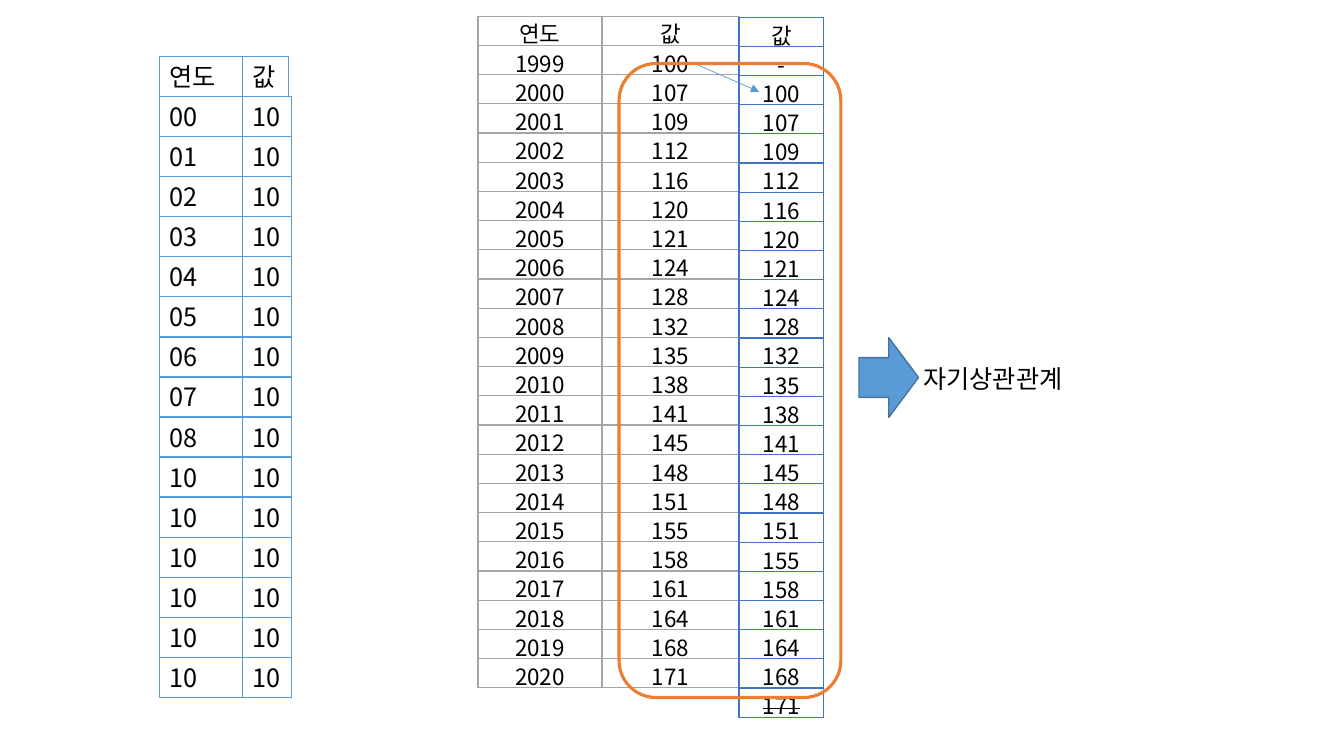
from typing import NamedTuple

from lxml.etree import SubElement
from pptx import Presentation
from pptx.dml.color import RGBColor
from pptx.enum.shapes import MSO_CONNECTOR, MSO_SHAPE
from pptx.enum.text import MSO_ANCHOR, MSO_AUTO_SIZE, PP_ALIGN
from pptx.oxml import parse_xml
from pptx.oxml.ns import nsdecls, qn
from pptx.util import Inches, Pt

FONT = "Noto Sans CJK KR"
COLORS = {
    "text": "000000",
    "blue": "5B9BD5",
    "arrow_edge": "43739E",
    "grid_gray": "A5A5A5",
    "grid_blue": "4472C4",
    "frame": "ED7D31",
}
YEAR_HEADER, VALUE_HEADER = "연도", "값"
SERIES = [100, 107, 109, 112, 116, 120, 121, 124, 128, 132, 135,
          138, 141, 145, 148, 151, 155, 158, 161, 164, 168, 171]
SHORT_YEARS = [f"{year:02}" for year in range(9)] + ["10"] * 6
BOX_TOP, BOX_HEIGHT = 0.56, 0.4
BOX_STEP = (6.52 - BOX_TOP) / len(SHORT_YEARS)


class BoxColumn(NamedTuple):
    """A stack of outlined text boxes."""
    left: float
    header_width: float
    width: float
    wrap: bool
    texts: list[str]


class Grid(NamedTuple):
    """A bordered table of centred text."""
    left: float
    top: float
    height: float
    widths: list[float]
    border: str
    rows: list[list[str]]


BOX_COLUMNS = [
    BoxColumn(2.41, 0.45, 0.48, False, [VALUE_HEADER] + ["10"] * len(SHORT_YEARS)),
    BoxColumn(1.58, 0.83, 0.83, True, [YEAR_HEADER] + SHORT_YEARS),
]
GRIDS = [
    Grid(4.74, 0.16, 6.67, [1.23, 1.36], "grid_gray",
         [[YEAR_HEADER, VALUE_HEADER]]
         + [[str(year), str(value)] for year, value in enumerate(SERIES, 1999)]),
    Grid(7.33, 0.17, 6.95, [0.84], "grid_blue",
         [[VALUE_HEADER], ["-"]] + [[str(value)] for value in SERIES]),
]


def color(name: str) -> RGBColor:
    """Look up a named colour."""
    return RGBColor.from_string(COLORS[name])


def apply(target, formats: dict) -> None:
    """Set every attribute named in formats on the target."""
    for name, value in formats.items():
        setattr(target, name, value)


def set_line(shape, name: str, points: float) -> None:
    """Give a shape or connector a solid line."""
    shape.line.color.rgb = color(name)
    shape.line.width = Pt(points)


def write(para, text: str, size: float):
    """Add one formatted run to a paragraph."""
    span = para.add_run()
    apply(span, {"text": text})
    apply(span.font, {"name": FONT, "size": Pt(size)})
    span.font.color.rgb = color("text")
    SubElement(span.font._element, qn("a:ea"), typeface=FONT)
    return span


def add_text(page, left: float, top: float, width: float, text: str, wrap: bool):
    """Add a text box that fits its text."""
    box = page.shapes.add_textbox(*map(Inches, (left, top, width, BOX_HEIGHT)))
    apply(box.text_frame, {"word_wrap": wrap,
                           "auto_size": MSO_AUTO_SIZE.SHAPE_TO_FIT_TEXT})
    write(box.text_frame.paragraphs[0], text, 18)
    return box


def add_box_column(page, column: BoxColumn) -> None:
    """Stack the boxes of a column at an equal step."""
    for index, text in enumerate(column.texts):
        width = column.width if index else column.header_width
        box = add_text(page, column.left, BOX_TOP + index * BOX_STEP,
                       width, text, column.wrap)
        set_line(box, "blue", 0.75)


def set_borders(cell, name: str) -> None:
    """Draw a one-point border on all four sides of a cell."""
    properties = cell._tc.get_or_add_tcPr()
    for index, side in enumerate(("lnL", "lnR", "lnT", "lnB")):
        properties.insert(index, parse_xml(
            f'<a:{side} {nsdecls("a")} w="{Pt(1)}"><a:solidFill>'
            f'<a:srgbClr val="{COLORS[name]}"/></a:solidFill></a:{side}>'))


def add_grid(page, grid: Grid):
    """Add a table with equal rows and no fill."""
    frame = page.shapes.add_table(
        len(grid.rows), len(grid.widths),
        *map(Inches, (grid.left, grid.top, sum(grid.widths), grid.height)))
    table = frame.table
    apply(table, {"first_row": False, "horz_banding": False})
    for column, width in zip(table.columns, grid.widths):
        column.width = Inches(width)
    for row, texts in zip(table.rows, grid.rows):
        row.height = Inches(grid.height / len(grid.rows))
        for cell, text in zip(row.cells, texts):
            apply(cell, {"vertical_anchor": MSO_ANCHOR.MIDDLE,
                         "margin_left": Inches(0.01), "margin_right": Inches(0.01),
                         "margin_top": Inches(0.01), "margin_bottom": 0})
            cell.fill.background()
            set_borders(cell, grid.border)
            para = cell.text_frame.paragraphs[0]
            para.alignment = PP_ALIGN.CENTER
            write(para, text, 16)
    return table


def add_shift_arrow(page) -> None:
    """Point from the first value to its place in the shifted column."""
    arrow = page.shapes.add_connector(
        MSO_CONNECTOR.STRAIGHT, *map(Inches, (6.91, 0.64, 7.53, 0.91)))
    set_line(arrow, "blue", 0.5)
    SubElement(arrow.line._get_or_add_ln(), qn("a:tailEnd"), type="triangle")
    SubElement(arrow._element.spPr, qn("a:effectLst"))


def add_outline(page, kind: MSO_SHAPE, place: tuple, line: str, points: float):
    """Add an unfilled preset shape with a line."""
    shape = page.shapes.add_shape(kind, *map(Inches, place))
    shape.shadow.inherit = False
    shape.fill.background()
    set_line(shape, line, points)
    return shape


deck = Presentation()
apply(deck, {"slide_width": Inches(13.33), "slide_height": Inches(7.5)})
page = deck.slides.add_slide(deck.slide_layouts[6])

for box_column in BOX_COLUMNS:
    add_box_column(page, box_column)
year_table, shifted_table = [add_grid(page, grid) for grid in GRIDS]
last_cell = shifted_table.cell(len(shifted_table.rows) - 1, 0)
last_span = last_cell.text_frame.paragraphs[0].runs[0]
last_span.font._element.set("strike", "sngStrike")

add_shift_arrow(page)
add_outline(page, MSO_SHAPE.ROUNDED_RECTANGLE, (6.14, 0.63, 2.2, 6.29), "frame", 2.25)
block_arrow = add_outline(page, MSO_SHAPE.RIGHT_ARROW, (8.52, 3.35, 0.59, 0.79),
                          "arrow_edge", 1)
block_arrow.fill.solid()
block_arrow.fill.fore_color.rgb = color("blue")
add_text(page, 9.06, 3.56, 1.72, "자기상관관계", False)

deck.save("out.pptx")
